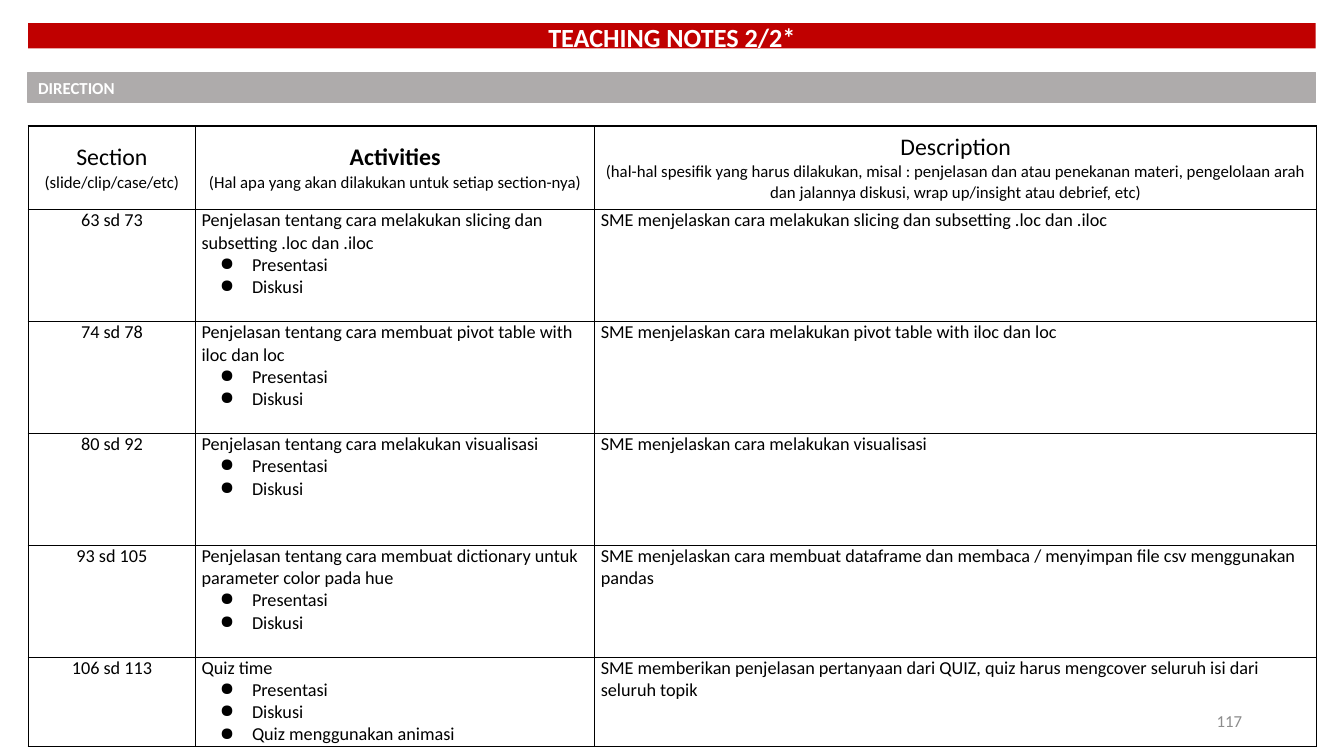
"""Build the teaching notes slide with its section, activity and description table."""
from dataclasses import dataclass

from lxml.etree import SubElement
from pptx import Presentation
from pptx.dml.color import RGBColor
from pptx.enum.shapes import MSO_SHAPE
from pptx.enum.text import MSO_ANCHOR as Anchor, MSO_AUTO_SIZE as AutoSize, PP_ALIGN as Align
from pptx.oxml.ns import qn
from pptx.util import Inches, Pt

FONT = "Calibri"
RED = RGBColor(0xC0, 0x00, 0x00)
GRAY = RGBColor(0xAE, 0xAB, 0xAB)
NUMBER_GRAY = RGBColor(0x8C, 0x8C, 0x8C)
WHITE = RGBColor(0xFF, 0xFF, 0xFF)
BLACK = RGBColor(0x00, 0x00, 0x00)

LEFT, WIDTH = 0.28, 12.77
COLUMN_WIDTHS = (1.66, 3.96, 7.16)
ROW_HEIGHTS = (0.83, 1.11, 1.11, 1.11, 1.11, 0.89)


@dataclass
class Header:
    title: str
    hint: str
    bold: bool = False


@dataclass
class Section:
    slides: str
    activity: str
    description: str
    steps: tuple[str, ...] = ("Presentasi", "Diskusi")


HEADERS = (
    Header("Section", "(slide/clip/case/etc)"),
    Header("Activities", "(Hal apa yang akan dilakukan untuk setiap section-nya)", True),
    Header("Description",
           "(hal-hal spesifik yang harus dilakukan, misal : penjelasan dan atau penekanan materi, "
           "pengelolaan arah dan jalannya diskusi, wrap up/insight atau debrief, etc)"),
)
SECTIONS = (
    Section("63 sd 73",
            "Penjelasan tentang cara melakukan slicing dan subsetting .loc dan .iloc",
            "SME menjelaskan cara melakukan slicing dan subsetting .loc dan .iloc"),
    Section("74 sd 78",
            "Penjelasan tentang cara membuat pivot table with iloc dan loc",
            "SME menjelaskan cara melakukan pivot table with iloc dan loc"),
    Section("80 sd 92",
            "Penjelasan tentang cara melakukan visualisasi",
            "SME menjelaskan cara melakukan visualisasi"),
    Section("93 sd 105",
            "Penjelasan tentang cara membuat dictionary untuk parameter color pada hue",
            "SME menjelaskan cara membuat dataframe dan membaca / menyimpan file csv "
            "menggunakan pandas"),
    Section("106 sd 113",
            "Quiz time",
            "SME memberikan penjelasan pertanyaan dari QUIZ, quiz harus mengcover seluruh isi "
            "dari seluruh topik",
            ("Presentasi", "Diskusi", "Quiz menggunakan animasi")),
)


def format_paragraph(p, size: float, color: RGBColor = BLACK, bold: bool = False,
                     align: Align = Align.LEFT) -> None:
    p.alignment = align
    for r in p.runs:
        r.font.name = FONT
        r.font.size = Pt(size)
        r.font.bold = bold
        r.font.color.rgb = color


def set_label(sp, text: str, size: float, color: RGBColor, bold: bool, align: Align) -> None:
    tf = sp.text_frame
    tf.text = text
    tf.word_wrap = True
    tf.auto_size = AutoSize.NONE
    tf.vertical_anchor = Anchor.MIDDLE
    format_paragraph(tf.paragraphs[0], size, color, bold, align)


def add_bullet(p) -> None:
    pPr = p._p.get_or_add_pPr()
    pPr.set("marL", str(Inches(0.5)))
    pPr.set("indent", str(Inches(-0.32)))
    color = SubElement(pPr, qn("a:buClr"))
    SubElement(color, qn("a:srgbClr"), val=str(BLACK))
    SubElement(pPr, qn("a:buChar"), char="●")


def style_cell(cell) -> None:
    cell.margin_left = cell.margin_right = Inches(0.06)
    cell.margin_top = cell.margin_bottom = 0
    tcPr = cell._tc.get_or_add_tcPr()
    for side in ("lnL", "lnR", "lnT", "lnB"):
        line = SubElement(tcPr, qn(f"a:{side}"), w=str(Pt(1)))
        fill = SubElement(line, qn("a:solidFill"))
        SubElement(fill, qn("a:srgbClr"), val=str(BLACK))
    cell.fill.solid()
    cell.fill.fore_color.rgb = WHITE


def fill_header(cell, header: Header) -> None:
    cell.vertical_anchor = Anchor.MIDDLE
    cell.text_frame.text = f"{header.title}\n{header.hint}"
    title, hint = cell.text_frame.paragraphs
    format_paragraph(title, 17, bold=header.bold, align=Align.CENTER)
    format_paragraph(hint, 12, align=Align.CENTER)


def fill_section(cells, section: Section) -> None:
    slides, activity, description = (cell.text_frame for cell in cells)
    slides.text = section.slides
    activity.text = "\n".join((section.activity, *section.steps))
    description.text = section.description
    for p in activity.paragraphs[1:]:
        add_bullet(p)
    format_paragraph(slides.paragraphs[0], 13, align=Align.CENTER)
    for p in (*activity.paragraphs, *description.paragraphs):
        format_paragraph(p, 13)


def add_notes_table(slide) -> None:
    table = slide.shapes.add_table(
        len(ROW_HEIGHTS), len(COLUMN_WIDTHS), Inches(LEFT), Inches(1.25),
        Inches(WIDTH), Inches(sum(ROW_HEIGHTS))).table
    for column, width in zip(table.columns, COLUMN_WIDTHS):
        column.width = Inches(width)
    for row, height in zip(table.rows, ROW_HEIGHTS):
        row.height = Inches(height)
    for cell in table.iter_cells():
        style_cell(cell)
    for cell, header in zip(table.rows[0].cells, HEADERS):
        fill_header(cell, header)
    for i, section in enumerate(SECTIONS, 1):
        fill_section(table.rows[i].cells, section)


def main() -> None:
    prs = Presentation()
    prs.slide_width, prs.slide_height = Inches(13.33), Inches(7.5)
    slide = prs.slides.add_slide(prs.slide_layouts[5])

    title = slide.shapes.title
    title.left, title.top = Inches(LEFT), Inches(0.23)
    title.width, title.height = Inches(WIDTH), Inches(0.25)
    title.fill.solid()
    title.fill.fore_color.rgb = RED
    set_label(title, "TEACHING NOTES 2/2*", 18.7, WHITE, True, Align.CENTER)
    title.text_frame.paragraphs[0].line_spacing = 1.07

    direction = slide.shapes.add_shape(
        MSO_SHAPE.RECTANGLE, Inches(LEFT), Inches(0.72), Inches(WIDTH), Inches(0.3))
    direction.shadow.inherit = False
    direction.fill.solid()
    direction.fill.fore_color.rgb = GRAY
    direction.line.color.rgb = GRAY
    direction.line.width = Pt(1)
    set_label(direction, "DIRECTION", 12, WHITE, True, Align.LEFT)

    add_notes_table(slide)

    number = slide.shapes.add_textbox(Inches(9.42), Inches(6.95), Inches(3), Inches(0.4))
    set_label(number, "117", 12, NUMBER_GRAY, False, Align.RIGHT)

    prs.save("out.pptx")


if __name__ == "__main__":
    main()
